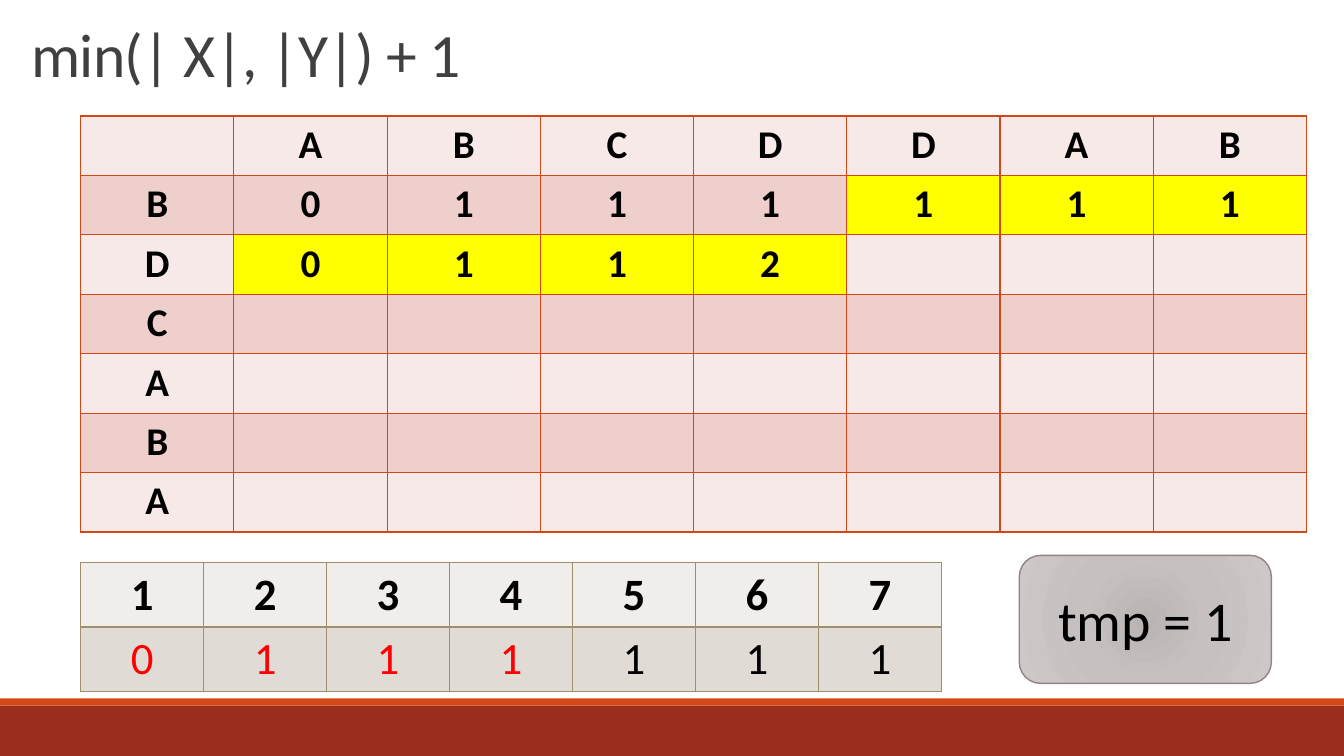
from dataclasses import dataclass
from pptx import Presentation
from pptx.dml.color import RGBColor
from pptx.enum.shapes import MSO_SHAPE
from pptx.enum.text import MSO_ANCHOR, PP_ALIGN
from pptx.oxml import parse_xml
from pptx.oxml.ns import nsdecls
from pptx.util import Inches, Pt

RECTANGLE, ROUNDED = MSO_SHAPE.RECTANGLE, MSO_SHAPE.ROUNDED_RECTANGLE
CENTER, LEFT = PP_ALIGN.CENTER, PP_ALIGN.LEFT
MIDDLE, BOTTOM = MSO_ANCHOR.MIDDLE, MSO_ANCHOR.BOTTOM

TITLE = "min(| X|, |Y|) + 1"
TMP = "tmp = 1"
LCS_ROWS = [
    ["", "A", "B", "C", "D", "D", "A", "B"],
    ["B", "0", "1", "1", "1", "1", "1", "1"],
    ["D", "0", "1", "1", "2"],
    ["C"],
    ["A"],
    ["B"],
    ["A"],
]
LIVE_CELLS = {(1, 5), (1, 6), (1, 7), (2, 1), (2, 2), (2, 3), (2, 4)}
BUFFER_ROWS = [
    ["1", "2", "3", "4", "5", "6", "7"],
    ["0", "1", "1", "1", "1", "1", "1"],
]
UPDATED_CELLS = {(1, column) for column in range(4)}


@dataclass(frozen=True)
class Theme:
    font: str = "Calibri"
    title_size: int = 44
    tmp_size: int = 40
    buffer_size: int = 32
    lcs_size: int = 28
    ink: str = "000000"
    title_ink: str = "404040"
    updated_ink: str = "FF0000"
    live_fill: str = "FFFF00"
    lcs_bands: tuple = ("F7E9E8", "EFCFCC")
    lcs_border: str = "D34817"
    buffer_bands: tuple = ("F0EEEB", "E0DBD4")
    buffer_border: str = "A28E6A"
    footer: str = "9B2D1F"
    stripe: str = "D34817"
    tmp_border: str = "918485"
    tmp_stops: tuple = ((0, "BBB4B5"), (45, "C6C0C1"), (100, "CDC7C7"))


THEME = Theme()
WIDTH, HEIGHT = 13.33, 7.5
TABLE_LEFT = 0.8

deck = Presentation()
deck.slide_width, deck.slide_height = Inches(WIDTH), Inches(HEIGHT)
page = deck.slides.add_slide(deck.slide_layouts[6])


def color(value):
    return RGBColor.from_string(value)


def write(frame, text, size, ink, bold=False, align=CENTER):
    para = frame.paragraphs[0]
    para.alignment = align
    span = para.add_run()
    span.text = text
    span.font.name = THEME.font
    span.font.size = Pt(size)
    span.font.bold = bold
    span.font.color.rgb = color(ink)
    return para, span


def add_bar(top, height, fill):
    bar = page.shapes.add_shape(RECTANGLE, 0, Inches(top), Inches(WIDTH), Inches(height))
    bar.shadow.inherit = False
    bar.fill.solid()
    bar.fill.fore_color.rgb = color(fill)
    bar.line.fill.background()


def add_borders(cell, border):
    properties = cell._tc.get_or_add_tcPr()
    for position, side in enumerate(("lnL", "lnR", "lnT", "lnB")):
        properties.insert(position, parse_xml(
            f'<a:{side} {nsdecls("a")} w="12700"><a:solidFill>'
            f'<a:srgbClr val="{border}"/></a:solidFill></a:{side}>'))


def add_grid(rows, top, column_width, row_height, size, bands, border,
             bold_rows, live=(), updated=()):
    columns = len(rows[0])
    table = page.shapes.add_table(
        len(rows), columns, Inches(TABLE_LEFT), Inches(top),
        Inches(columns * column_width), Inches(len(rows) * row_height)).table
    table.first_row = table.horz_banding = False
    for column in table.columns:
        column.width = Inches(column_width)
    for r, texts in enumerate(rows):
        table.rows[r].height = Inches(row_height)
        for c in range(columns):
            cell = table.cell(r, c)
            cell.fill.solid()
            cell.fill.fore_color.rgb = color(
                THEME.live_fill if (r, c) in live else bands[r % 2])
            add_borders(cell, border)
            if c < len(texts) and texts[c]:
                ink = THEME.updated_ink if (r, c) in updated else THEME.ink
                write(cell.text_frame, texts[c], size, ink, r < bold_rows)


def add_title():
    box = page.shapes.add_textbox(Inches(0.07), Inches(0.06), Inches(10.22), Inches(0.88))
    frame = box.text_frame
    frame.word_wrap = True
    frame.vertical_anchor = BOTTOM
    frame.margin_left = Inches(0.24)
    para, span = write(frame, TITLE, THEME.title_size, THEME.title_ink, align=LEFT)
    para.line_spacing = 0.85
    span.font._element.set("spc", "-50")


def add_tmp():
    box = page.shapes.add_shape(ROUNDED, Inches(10.11), Inches(5.51), Inches(2.5), Inches(1.27))
    box.shadow.inherit = False
    box.line.color.rgb = color(THEME.tmp_border)
    box.line.width = Pt(1)
    stops = "".join(f'<a:gs pos="{share * 1000}"><a:srgbClr val="{tone}"/></a:gs>'
                    for share, tone in THEME.tmp_stops)
    box._element.spPr.find("{*}prstGeom").addnext(parse_xml(
        f'<a:gradFill {nsdecls("a")} rotWithShape="1"><a:gsLst>{stops}</a:gsLst>'
        '<a:path path="circle"><a:fillToRect l="100000" t="100000" r="100000" b="100000"/>'
        '</a:path></a:gradFill>'))
    box.text_frame.word_wrap = True
    box.text_frame.vertical_anchor = MIDDLE
    write(box.text_frame, TMP, THEME.tmp_size, THEME.ink)


add_bar(7, 0.5, THEME.footer)
add_bar(6.93, 0.07, THEME.stripe)
add_title()
add_grid(BUFFER_ROWS, 5.58, 1.22, 0.64, THEME.buffer_size, THEME.buffer_bands,
         THEME.buffer_border, bold_rows=1, updated=UPDATED_CELLS)
add_grid(LCS_ROWS, 1.15, 1.52, 0.59, THEME.lcs_size, THEME.lcs_bands,
         THEME.lcs_border, bold_rows=len(LCS_ROWS), live=LIVE_CELLS)
add_tmp()
deck.save("out.pptx")
